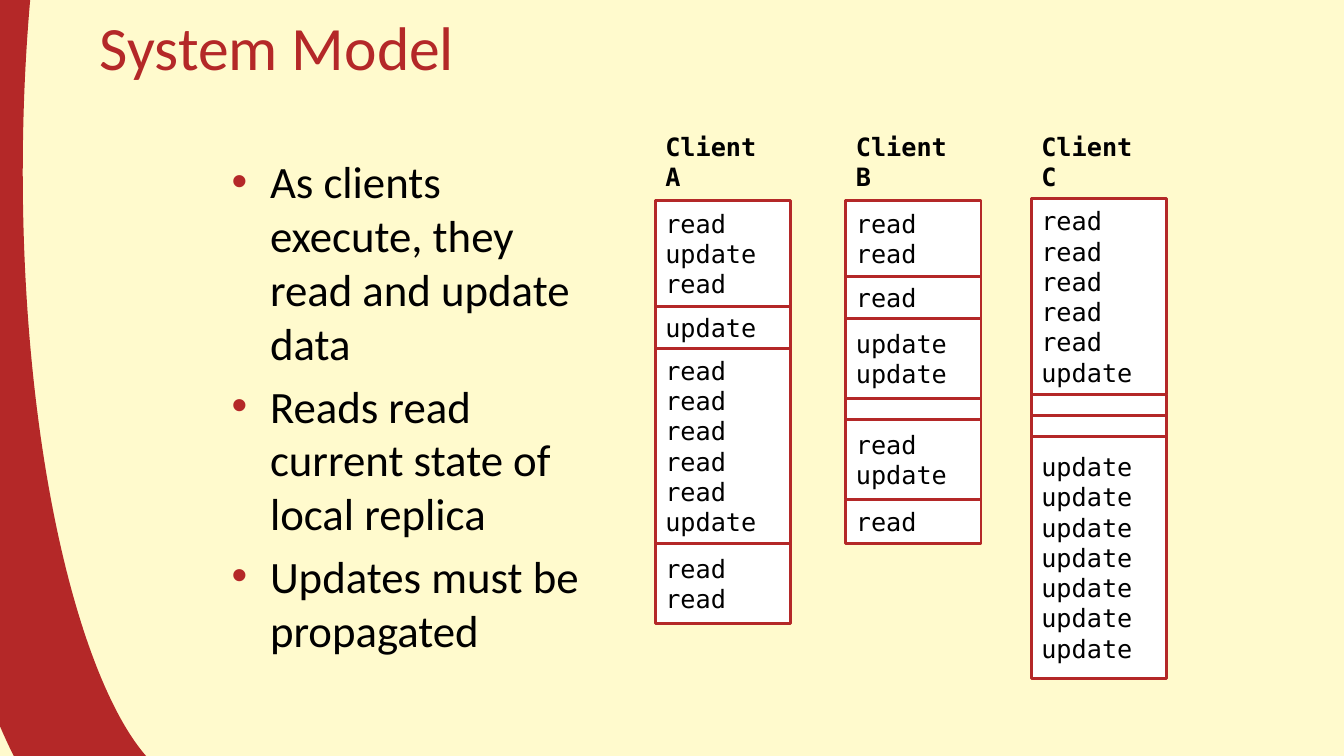
from lxml import etree
from pptx import Presentation
from pptx.dml.color import RGBColor
from pptx.enum.shapes import MSO_SHAPE
from pptx.enum.text import MSO_ANCHOR, PP_ALIGN
from pptx.oxml.ns import qn
from pptx.util import Inches, Pt

ARC, RECTANGLE = MSO_SHAPE.ARC, MSO_SHAPE.RECTANGLE
TOP, MIDDLE = MSO_ANCHOR.TOP, MSO_ANCHOR.MIDDLE
LEFT = PP_ALIGN.LEFT
TITLE_ONLY = 5

CREAM, RED, BLACK, WHITE = "FFFACD", "B42828", "000000", "FFFFFF"
SANS, MONO = "Calibri", "DejaVu Sans Mono"
COLUMN_WIDTH = 1.34

POINTS = [
    "As clients execute, they read and update data",
    "Reads read current state of local replica",
    "Updates must be propagated",
]

# Each client: name, left, top, and its steps as (height, operations)
CLIENTS = [
    ("Client A", 6.5, 1.99, [
        (1.05, ["read", "update", "read"]),
        (0.42, ["update"]),
        (1.93, ["read"] * 5 + ["update"]),
        (0.8, ["read"] * 2),
    ]),
    ("Client B", 8.39, 1.99, [
        (0.75, ["read"] * 2),
        (0.42, ["read"]),
        (0.79, ["update"] * 2),
        (0.21, []),
        (0.8, ["read", "update"]),
        (0.43, ["read"]),
    ]),
    ("Client C", 10.23, 1.97, [
        (1.94, ["read"] * 5 + ["update"]),
        (0.21, []),
        (0.21, []),
        (2.4, ["update"] * 7),
    ]),
]


def color(hex_value):
    return RGBColor.from_string(hex_value)


def write(frame, lines, size, font, hex_value, anchor=MIDDLE, bold=False):
    frame.word_wrap = True
    frame.vertical_anchor = anchor
    for index, line in enumerate(lines):
        paragraph = frame.add_paragraph() if index else frame.paragraphs[0]
        paragraph.text = line
        paragraph.alignment = LEFT
        paragraph.font.size = Pt(size)
        paragraph.font.name = font
        paragraph.font.bold = bold
        paragraph.font.color.rgb = color(hex_value)


def add_label(slide, box, lines, *style, **options):
    label = slide.shapes.add_textbox(*map(Inches, box))
    write(label.text_frame, lines, *style, **options)
    return label


def add_outlined(slide, preset, box, line_width):
    shape = slide.shapes.add_shape(preset, *map(Inches, box))
    shape.shadow.inherit = False
    shape.line.color.rgb = color(RED)
    shape.line.width = Pt(line_width)
    return shape


def add_sweep(slide):
    sweep = add_outlined(slide, ARC, (-0.33, -4.83, 4.11, 13.08), 80)
    sweep.fill.background()
    # Right half of the ellipse, mirrored to the left;
    # angles are stored in 60000ths of a degree
    for index, degrees in enumerate((270, 90)):
        sweep.adjustments[index] = degrees * 60000 / 100000
    sweep._element.spPr.find(qn("a:xfrm")).set("flipH", "1")


def add_title(slide, text):
    title = slide.shapes.title
    title.left, title.top = Inches(0.89), Inches(-0.17)
    title.width, title.height = Inches(12), Inches(1.25)
    write(title.text_frame, [text], 44, SANS, RED)


def add_bullets(slide, box, points):
    bullets = add_label(slide, box, points, 32, SANS, BLACK, anchor=TOP)
    for index, paragraph in enumerate(bullets.text_frame.paragraphs):
        paragraph.space_before = Pt(6.4 if index else 0)
        properties = paragraph._p.get_or_add_pPr()
        properties.set("marL", str(Inches(0.38)))
        properties.set("indent", str(Inches(-0.38)))
        # Bullet elements come ahead of the default run properties
        bullet_color = etree.Element(qn("a:buClr"))
        etree.SubElement(bullet_color, qn("a:srgbClr"), val=RED)
        bullet_font = etree.Element(qn("a:buFont"), typeface="Arial")
        bullet_char = etree.Element(qn("a:buChar"), char="•")
        defaults = properties.find(qn("a:defRPr"))
        for element in (bullet_color, bullet_font, bullet_char):
            defaults.addprevious(element)


def add_client(slide, name, left, top, steps):
    add_label(slide, (left, 1.23, COLUMN_WIDTH, 0.74), [name],
              18, MONO, BLACK, bold=True)
    for height, operations in steps:
        step = add_outlined(slide, RECTANGLE,
                            (left, top, COLUMN_WIDTH, height), 2)
        step.fill.solid()
        step.fill.fore_color.rgb = color(WHITE)
        write(step.text_frame, operations, 18, MONO, BLACK)
        top += height


def main():
    deck = Presentation()
    deck.slide_width, deck.slide_height = Inches(13.33), Inches(7.5)
    slide = deck.slides.add_slide(deck.slide_layouts[TITLE_ONLY])

    # Background and decoration
    slide.background.fill.solid()
    slide.background.fill.fore_color.rgb = color(CREAM)
    add_sweep(slide)

    # Title and bullets
    add_title(slide, "System Model")
    add_bullets(slide, (2.2, 1.48, 3.7, 5.71), POINTS)

    # Client timelines
    for client in CLIENTS:
        add_client(slide, *client)

    deck.save("out.pptx")


if __name__ == "__main__":
    main()
